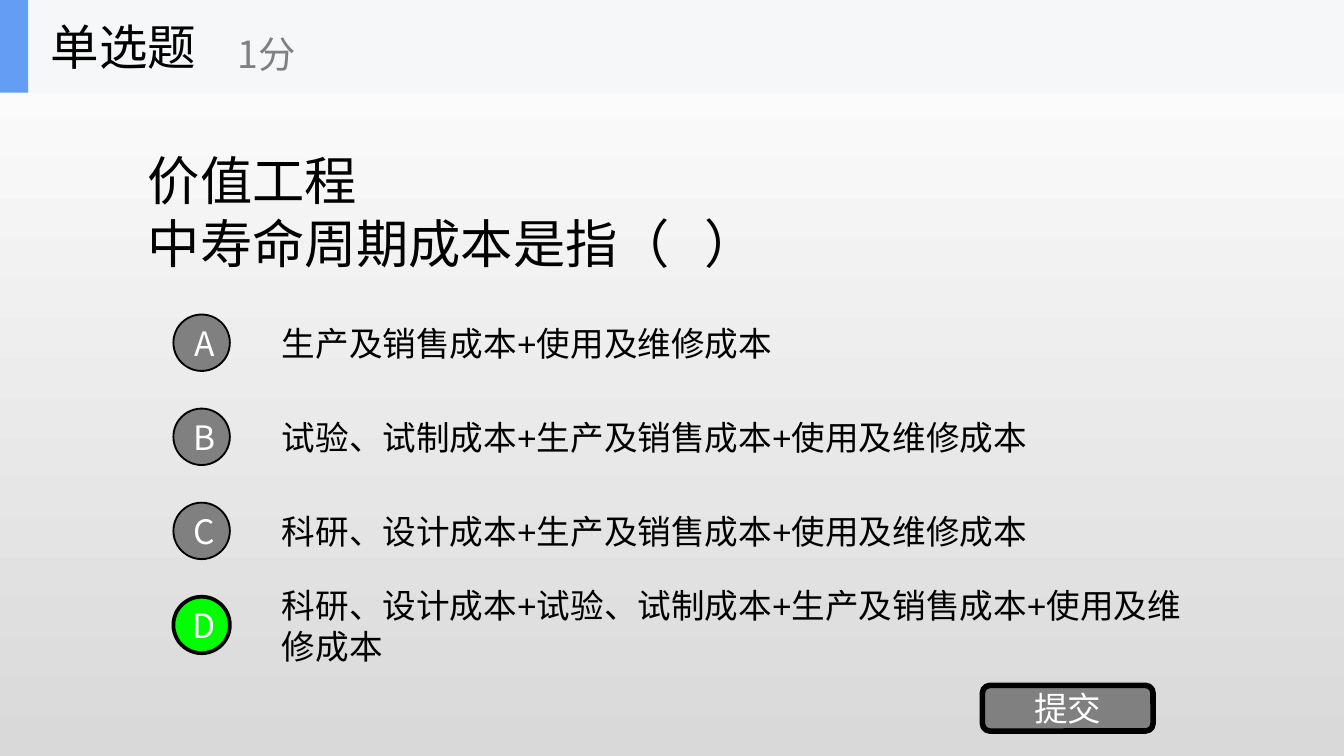
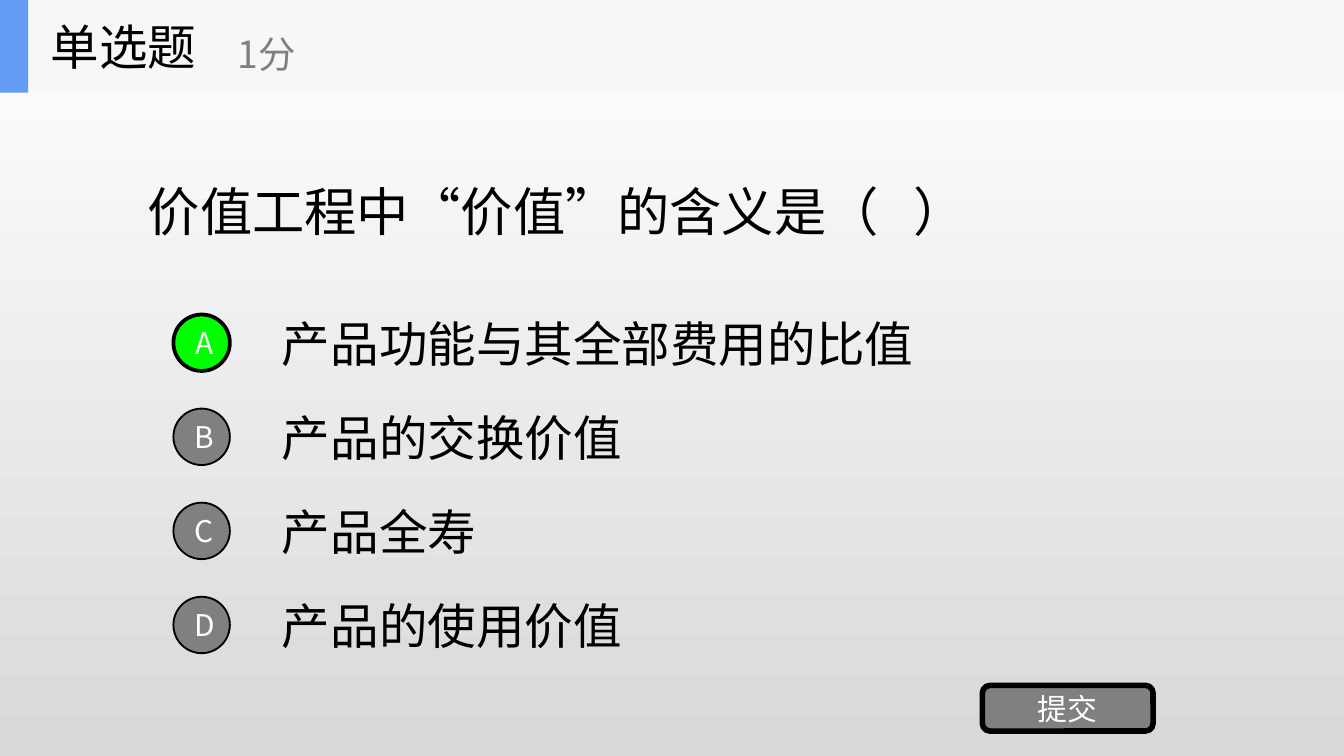
import pptx
import pptx.dml.color
import pptx.enum.shapes
import pptx.enum.text
import pptx.oxml.ns
import pptx.util
from lxml import etree

Inches = pptx.util.Inches
SHAPE = pptx.enum.shapes.MSO_SHAPE
ALIGN = pptx.enum.text.PP_ALIGN

# Shared look
LATIN, CJK = "Arial", "Noto Sans CJK SC"
BLACK, WHITE, GRAY = "000000", "FFFFFF", "808080"
CORRECT, BAND, ACCENT, BACK_END = "00FF00", "F6F7F8", "639EF4", "D9D9D9"
BAND_HEIGHT = 0.69
FIRST_OPTION, OPTION_STEP = 2.29, 0.7

QUESTIONS = [
    {
        "stem": ["价值工程", "中寿命周期成本是指（   ）"],
        "options": [
            "生产及销售成本+使用及维修成本",
            "试验、试制成本+生产及销售成本+使用及维修成本",
            "科研、设计成本+生产及销售成本+使用及维修成本",
            "科研、设计成本+试验、试制成本+生产及销售成本+使用及维修成本",
        ],
        "answer": "D", "option_font": LATIN, "option_size": 18, "label_size": 18,
    },
    {
        "stem": ["价值工程中“价值”的含义是（   ）"],
        "options": ["产品功能与其全部费用的比值", "产品的交换价值", "产品全寿", "产品的使用价值"],
        "answer": "A", "option_font": CJK, "option_size": 26, "label_size": 16,
    },
]


def color(value):
    return pptx.dml.color.RGBColor.from_string(value)


def write(shape, lines, size, name, ink, align=ALIGN.LEFT):
    """Fill a shape with vertically centred paragraphs in one font."""
    frame = shape.text_frame
    frame.auto_size = pptx.enum.text.MSO_AUTO_SIZE.NONE
    frame.word_wrap = True
    frame.vertical_anchor = pptx.enum.text.MSO_ANCHOR.MIDDLE
    frame.text = "\n".join(lines)
    for para in frame.paragraphs:
        para.alignment = align
        para.font.size = pptx.util.Pt(size)
        para.font.name = name
        para.font.color.rgb = color(ink)
        # A Latin font leaves Chinese glyphs to the theme
        if name == CJK:
            etree.SubElement(para.font._element, pptx.oxml.ns.qn("a:ea"), typeface=name)


def add_text(shapes, place, text, size, name, ink):
    box = shapes.add_textbox(*map(Inches, place))
    write(box, [text], size, name, ink)


def add_block(shapes, kind, place, fill, line_width=0):
    block = shapes.add_shape(kind, *map(Inches, place))
    block.shadow.inherit = False
    block.fill.solid()
    block.fill.fore_color.rgb = color(fill)
    if line_width:
        block.line.color.rgb = color(BLACK)
        block.line.width = pptx.util.Pt(line_width)
    else:
        block.line.fill.background()
    return block


def add_label(shapes, kind, place, fill, line_width, text, size, left_inset=0):
    label = add_block(shapes, kind, place, fill, line_width)
    write(label, [text], size, CJK, WHITE, ALIGN.CENTER)
    frame = label.text_frame
    frame.margin_left = Inches(left_inset)
    frame.margin_right = frame.margin_top = frame.margin_bottom = 0


def set_background(page):
    fill = page.background.fill
    fill.gradient()
    fill.gradient_angle = 270
    for stop, shade in zip(fill.gradient_stops, (WHITE, BACK_END)):
        stop.color.rgb = color(shade)


def add_stem(page, lines):
    title = page.shapes.title
    title.left, title.top, title.width, title.height = map(
        Inches, (1, BAND_HEIGHT, 8, 1.76))
    write(title, lines, 28, LATIN, BLACK)


def add_options(page, question):
    for index, text in enumerate(question["options"]):
        top = FIRST_OPTION + index * OPTION_STEP
        add_text(page.shapes, (2, top, 7, 0.53), text,
                 question["option_size"], question["option_font"], BLACK)
    for index, letter in enumerate("ABCD"):
        top = FIRST_OPTION + 0.05 + index * OPTION_STEP
        fill, width = (CORRECT, 2) if letter == question["answer"] else (GRAY, 1)
        add_label(page.shapes, SHAPE.OVAL, (1.29, top, 0.42, 0.42), fill, width,
                  letter, question["label_size"], 0.04)


def add_header(page):
    shapes = page.shapes.add_group_shape().shapes
    add_block(shapes, SHAPE.RECTANGLE, (0, 0, 10, BAND_HEIGHT), BAND)
    add_block(shapes, SHAPE.RECTANGLE, (0, 0, 0.21, BAND_HEIGHT), ACCENT)
    add_text(shapes, (0.28, 0, 2.08, BAND_HEIGHT), "单选题", 26, CJK, BLACK)
    add_text(shapes, (1.67, 0.12, 2.5, 0.56), "1分", 20, CJK, GRAY)


def add_question(deck, question):
    page = deck.slides.add_slide(deck.slide_layouts.get_by_name("Title Only"))
    set_background(page)
    add_stem(page, question["stem"])
    add_options(page, question)
    add_label(page.shapes, SHAPE.ROUNDED_RECTANGLE, (7.31, 5.1, 1.27, 0.34),
              GRAY, 3, "提交", question["label_size"])
    add_header(page)


def main():
    deck = pptx.Presentation()
    # Widescreen, 16 to 9
    deck.slide_width = Inches(10)
    deck.slide_height = deck.slide_width * 9 // 16
    for question in QUESTIONS:
        add_question(deck, question)
    deck.save("out.pptx")


if __name__ == "__main__":
    main()
